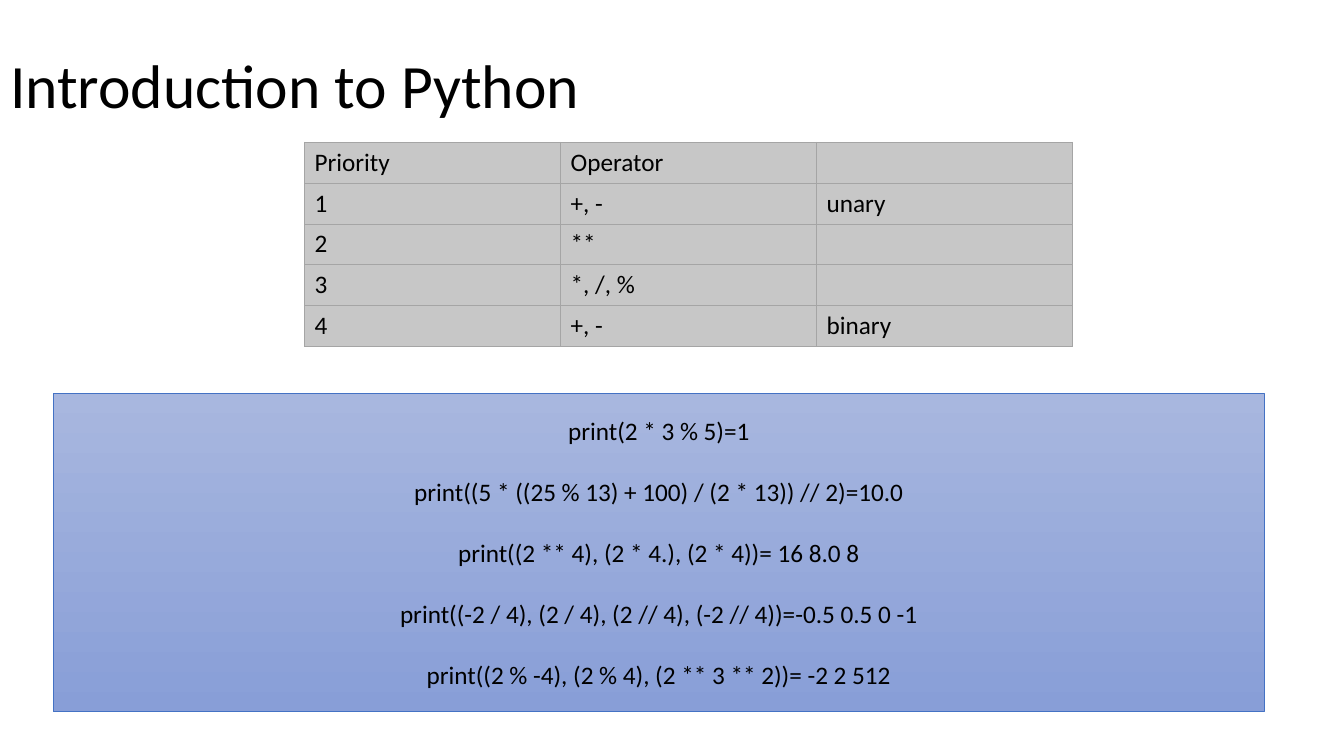
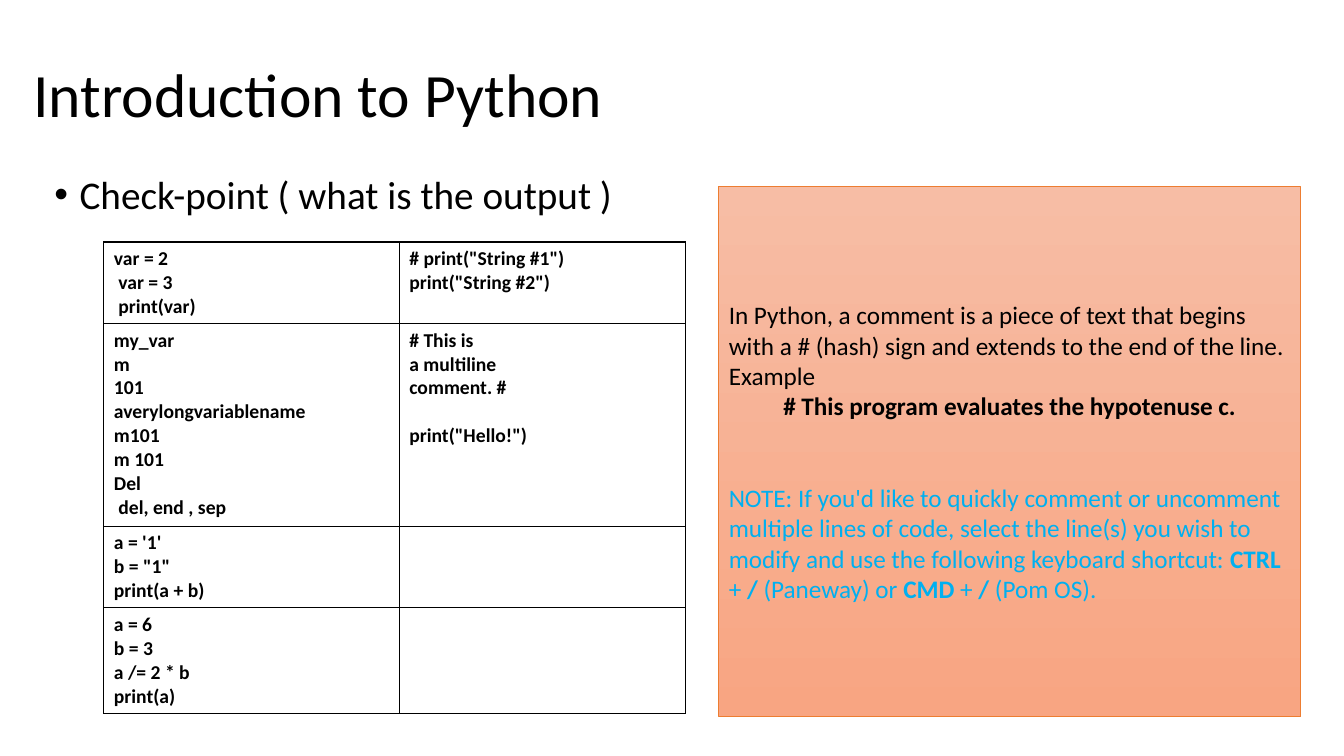
from lxml.etree import SubElement
from pptx import Presentation
from pptx.dml.color import RGBColor
from pptx.enum.shapes import MSO_SHAPE
from pptx.enum.text import MSO_ANCHOR, MSO_AUTO_SIZE, PP_ALIGN
from pptx.oxml import parse_xml
from pptx.oxml.ns import nsdecls, qn
from pptx.util import Inches, Pt

TITLE = "Introduction to Python"
LAYOUT_TITLE_AND_CONTENT = 1
LAYOUT_TITLE_ONLY = 5


def rgb(value):
    return RGBColor.from_string(value)


def write(paragraph, text, size=18, color="000000", bold=False, font="Calibri",
          align=PP_ALIGN.LEFT, before=0, spacing=None):
    paragraph.alignment = align
    paragraph.space_before = Pt(before)
    if spacing:
        paragraph.line_spacing = spacing
    run = paragraph.add_run()
    run.text = text
    run.font.name = font
    run.font.size = Pt(size)
    run.font.bold = bold
    run.font.color.rgb = rgb(color)


def next_paragraph(frame):
    first = frame.paragraphs[0]
    return frame.add_paragraph() if first.runs else first


class Deck:
    def __init__(self):
        self.presentation = Presentation()
        self.presentation.slide_width = Inches(13.33)
        self.presentation.slide_height = Inches(7.5)
        self.slide = None

    def add_slide(self, layout, left, top):
        layouts = self.presentation.slide_layouts
        self.slide = self.presentation.slides.add_slide(layouts[layout])
        frame = self.place(self.slide.shapes.title, left, top, 11.5, 1.45)
        frame.vertical_anchor = MSO_ANCHOR.MIDDLE
        write(frame.paragraphs[0], TITLE, size=44, spacing=0.9)

    def place(self, shape, left, top, width, height):
        shape.left, shape.top = Inches(left), Inches(top)
        shape.width, shape.height = Inches(width), Inches(height)
        frame = shape.text_frame
        frame.word_wrap = True
        frame.auto_size = MSO_AUTO_SIZE.NONE
        return frame

    def bullet(self, text, left, top, width, height):
        frame = self.place(self.slide.placeholders[1], left, top, width, height)
        frame.vertical_anchor = MSO_ANCHOR.TOP
        paragraph = frame.paragraphs[0]
        write(paragraph, text, size=28, before=10, spacing=0.9)
        properties = paragraph._p.get_or_add_pPr()
        properties.set("marL", str(Inches(0.25)))
        properties.set("indent", str(Inches(-0.25)))
        SubElement(properties, qn("a:buChar")).set("char", "•")

    def panel(self, left, top, width, height, gradient, line):
        shape = self.slide.shapes.add_shape(
            MSO_SHAPE.RECTANGLE, Inches(left), Inches(top), Inches(width), Inches(height))
        shape.shadow.inherit = False
        shape.fill.gradient()
        shape.fill.gradient_angle = 270
        for stop, color in zip(shape.fill.gradient_stops, gradient):
            stop.color.rgb = rgb(color)
        shape.line.color.rgb = rgb(line)
        shape.line.width = Pt(0.5)
        frame = shape.text_frame
        frame.word_wrap = True
        frame.vertical_anchor = MSO_ANCHOR.MIDDLE
        return frame

    def table(self, rows, left, top, widths, heights, border, border_width,
              fill=None, anchor=MSO_ANCHOR.TOP, gaps=None, **style):
        table = self.slide.shapes.add_table(
            len(rows), len(widths), Inches(left), Inches(top),
            Inches(sum(widths)), Inches(sum(heights))).table
        table.first_row = table.horz_banding = False
        for column, width in zip(table.columns, widths):
            column.width = Inches(width)
        for row, height, texts in zip(table.rows, heights, rows):
            row.height = Inches(height)
            for cell, text in zip(row.cells, texts):
                cell.vertical_anchor = anchor
                if fill:
                    cell.fill.solid()
                    cell.fill.fore_color.rgb = rgb(fill)
                else:
                    cell.fill.background()
                self.borders(cell, border, border_width)
                for line in text.splitlines():
                    write(next_paragraph(cell.text_frame), line,
                          before=(gaps or {}).get(line, 0), **style)

    def borders(self, cell, color, width):
        properties = cell._tc.get_or_add_tcPr()
        for index, side in enumerate("LRTB"):
            properties.insert(index, parse_xml(
                f'<a:ln{side} {nsdecls("a")} w="{Pt(width)}"><a:solidFill>'
                f'<a:srgbClr val="{color}"/></a:solidFill></a:ln{side}>'))


def operators_slide(deck):
    deck.add_slide(LAYOUT_TITLE_ONLY, 0, 0.15)
    rows = [
        ("Priority", "Operator", ""),
        ("1", "+, -", "unary"),
        ("2", "**", ""),
        ("3", "*, /, %", ""),
        ("4", "+, -", "binary"),
    ]
    deck.table(rows, 3.02, 1.41, [2.54] * 3, [0.4] * len(rows), "A5A5A5", 0.5,
               fill="C7C7C7", anchor=MSO_ANCHOR.MIDDLE)
    frame = deck.panel(0.53, 3.9, 12.01, 3.16, ("A8B7DF", "889ED7"), "4472C4")
    examples = [
        "print(2 * 3 % 5)=1",
        "print((5 * ((25 % 13) + 100) / (2 * 13)) // 2)=10.0",
        "print((2 ** 4), (2 * 4.), (2 * 4))= 16 8.0 8",
        "print((-2 / 4), (2 / 4), (2 // 4), (-2 // 4))=-0.5 0.5 0 -1",
        "print((2 % -4), (2 % 4), (2 ** 3 ** 2))= -2 2 512",
    ]
    for index, example in enumerate(examples):
        write(next_paragraph(frame), example, align=PP_ALIGN.CENTER,
              before=22 if index else 0)


def checkpoint_slide(deck):
    deck.add_slide(LAYOUT_TITLE_AND_CONTENT, 0.23, 0.24)
    deck.bullet("Check-point ( what is the output )", 0.44, 1.69, 11.5, 4.76)
    rows = [
        ("var = 2\n var = 3\n print(var)",
         '# print("String #1")\nprint("String #2")'),
        ("my_var\nm\n101\naverylongvariablename\nm101\nm 101\nDel\n del, end , sep",
         '# This is\na multiline\ncomment. #\nprint("Hello!")'),
        ("a = '1'\nb = \"1\"\nprint(a + b)", ""),
        ("a = 6\nb = 3\na /= 2 * b\nprint(a)", ""),
    ]
    heights = [0.1 + 0.24 * len(row[0].splitlines()) - 0.01 for row in rows]
    deck.table(rows, 1.03, 2.4, [2.93, 2.84], heights, "000000", 1,
               gaps={'print("Hello!")': 17}, size=14, bold=True)

    frame = deck.panel(7.13, 1.85, 5.77, 5.26, ("F7BDA5", "F8A582"), "ED7D31")
    write(next_paragraph(frame), "In Python, a comment is a piece of text that begins "
          "with a # (hash) sign and extends to the end of the line.")
    write(next_paragraph(frame), "Example")
    write(next_paragraph(frame), "# This program evaluates the hypotenuse c.",
          bold=True, align=PP_ALIGN.CENTER)
    note = next_paragraph(frame)
    parts = [
        "NOTE: If you'd like to quickly comment or uncomment multiple lines of code, "
        "select the line(s) you wish to modify and use the following keyboard shortcut: ",
        "CTRL", " + ", "/", " (Paneway) or ", "CMD", " + ", "/", " (Pom OS).",
    ]
    for index, part in enumerate(parts):
        write(note, part, color="00B0F0", bold=index % 2 == 1, before=44)


def main():
    deck = Deck()
    operators_slide(deck)
    checkpoint_slide(deck)
    deck.presentation.save("out.pptx")


if __name__ == "__main__":
    main()
